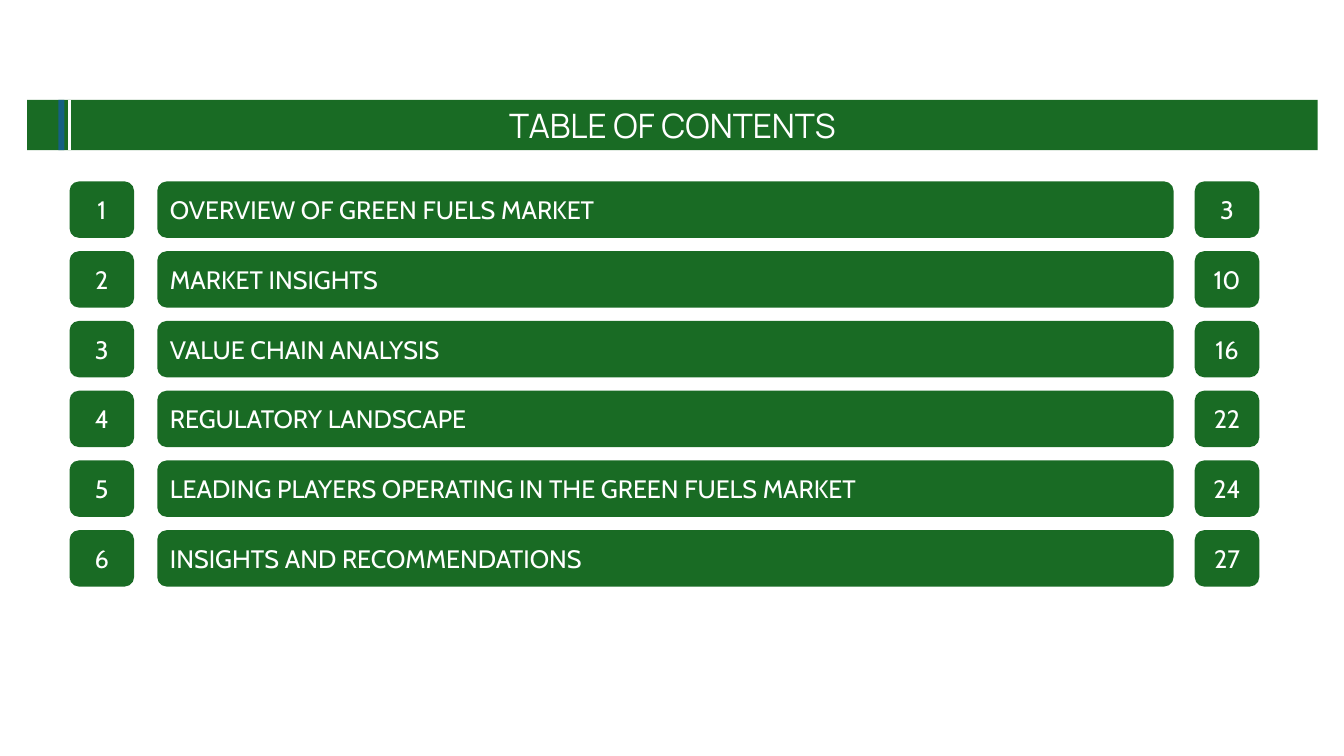
import pptx
import pptx.dml.color
import pptx.enum.shapes
import pptx.enum.text
import pptx.oxml
import pptx.util
from pptx.util import Inches

GREEN, BLUE, WHITE = "196B24", "156082", "FFFFFF"
SHAPES = pptx.enum.shapes.MSO_SHAPE
ALIGN = pptx.enum.text.PP_ALIGN
ANCHOR = pptx.enum.text.MSO_ANCHOR
AUTO_SIZE = pptx.enum.text.MSO_AUTO_SIZE

ENTRIES = [
    ("OVERVIEW OF GREEN FUELS MARKET", 3),
    ("MARKET INSIGHTS", 10),
    ("VALUE CHAIN ANALYSIS", 16),
    ("REGULATORY LANDSCAPE", 22),
    ("LEADING PLAYERS OPERATING IN THE GREEN FUELS MARKET", 24),
    ("INSIGHTS AND RECOMMENDATIONS", 27),
]


def color(hex_string):
    return pptx.dml.color.RGBColor.from_string(hex_string)


def set_format(target, values):
    for name, value in values.items():
        setattr(target, name, value)


def add_block(slide, kind, left, top, width, height, fill):
    """Add a flat shape with a solid fill and no outline."""
    shape = slide.shapes.add_shape(
        kind, Inches(left), Inches(top), Inches(width), Inches(height)
    )
    shape.shadow.inherit = False
    shape.fill.solid()
    shape.fill.fore_color.rgb = color(fill)
    shape.line.fill.background()
    return shape


def write_label(shape, text, font_name, size, alignment, frame_format):
    set_format(shape.text_frame, frame_format)
    paragraph = shape.text_frame.paragraphs[0]
    paragraph.alignment = alignment
    run = paragraph.add_run()
    run.text = text
    set_format(run.font, {"name": font_name, "size": pptx.util.Pt(size)})
    run.font.color.rgb = color(WHITE)


def add_title_band(slide, left, top, width, height):
    band = add_block(slide, SHAPES.RECTANGLE, left, top, width, height, GREEN)
    write_label(
        band, "TABLE OF CONTENTS", "Manrope", 24, ALIGN.CENTER,
        {"vertical_anchor": ANCHOR.TOP, "word_wrap": True,
         "auto_size": AUTO_SIZE.SHAPE_TO_FIT_TEXT},
    )


def add_band_accents(slide, left, top, height):
    """Add the blue stripe and the white rule to its right."""
    add_block(slide, SHAPES.RECTANGLE, left, top, 0.06, height, BLUE)
    rule_x = Inches(left + 0.11)
    rule = slide.shapes.add_connector(
        pptx.enum.shapes.MSO_CONNECTOR.STRAIGHT,
        rule_x, Inches(top), rule_x, Inches(top + height),
    )
    rule.line.color.rgb = color(WHITE)
    rule.line.width = pptx.util.Pt(1.5)
    properties = rule.element.spPr
    properties.append(pptx.oxml.parse_xml(
        '<a:effectLst xmlns:a="http://schemas.openxmlformats.org/drawingml/2006/main"/>'
    ))


def add_contents(slide, left, top, width, height):
    """Add one row per entry: number, heading and page, evenly spread."""
    row_height, badge_width, heading_offset, heading_width = 0.56, 0.64, 0.87, 10.08
    pitch = (height - row_height) / (len(ENTRIES) - 1)
    for index, (heading, page) in enumerate(ENTRIES):
        cells = [
            (0, badge_width, str(index + 1), ALIGN.CENTER),
            (heading_offset, heading_width, heading, ALIGN.LEFT),
            (width - badge_width, badge_width, str(page), ALIGN.CENTER),
        ]
        for offset, cell_width, text, alignment in cells:
            cell = add_block(
                slide, SHAPES.ROUNDED_RECTANGLE, left + offset,
                top + index * pitch, cell_width, row_height, GREEN,
            )
            write_label(
                cell, text, "Cabin", 18, alignment,
                {"vertical_anchor": ANCHOR.MIDDLE, "word_wrap": True},
            )


def main():
    presentation = pptx.Presentation()
    set_format(presentation, {"slide_width": Inches(13.33), "slide_height": Inches(7.5)})
    slide = presentation.slides.add_slide(presentation.slide_layouts[6])
    add_title_band(slide, 0.27, 0.99, 12.8, 0.5)
    add_contents(slide, 0.69, 1.8, 11.8, 4.02)
    add_band_accents(slide, 0.58, 0.99, 0.5)
    presentation.save("out.pptx")


if __name__ == "__main__":
    main()
